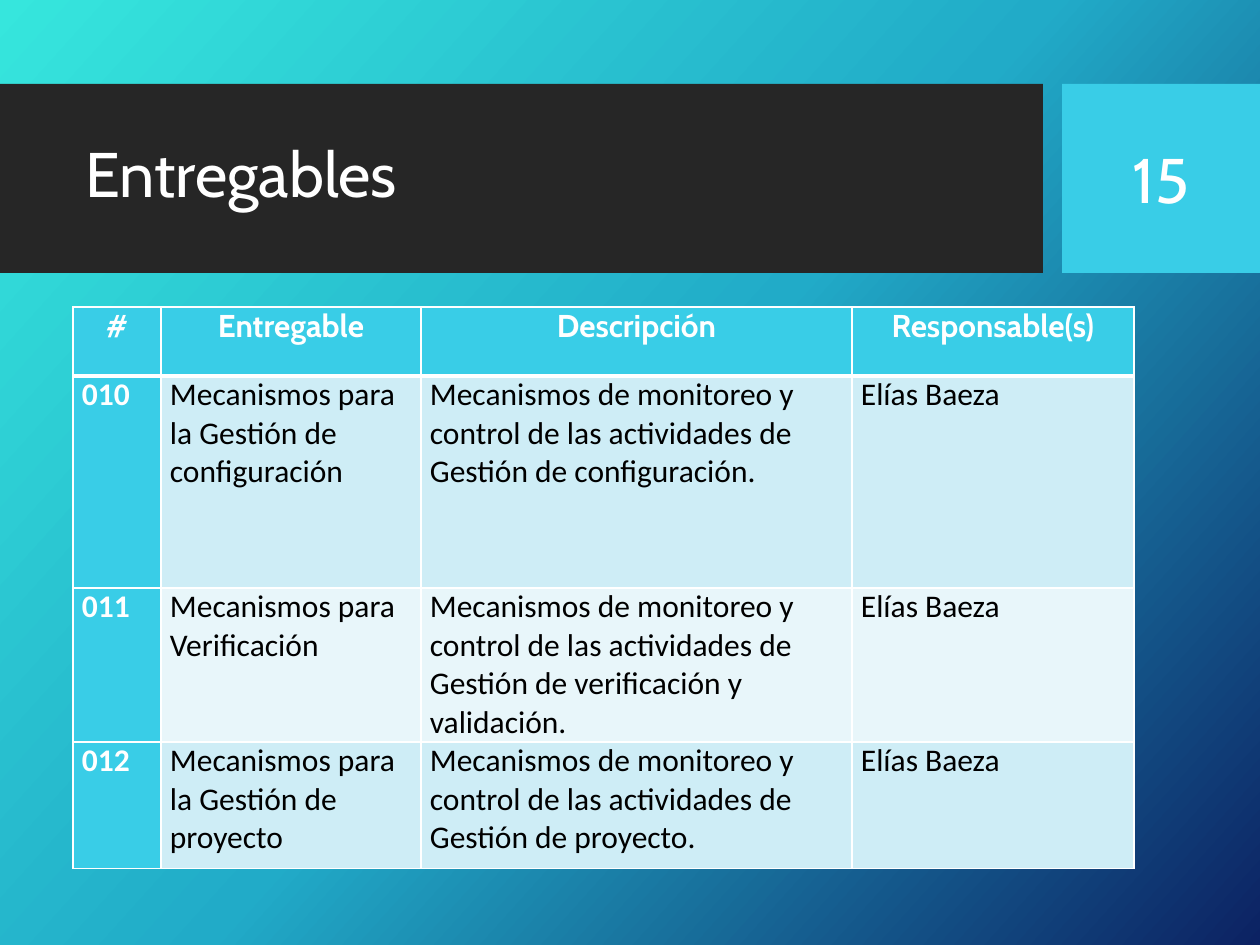
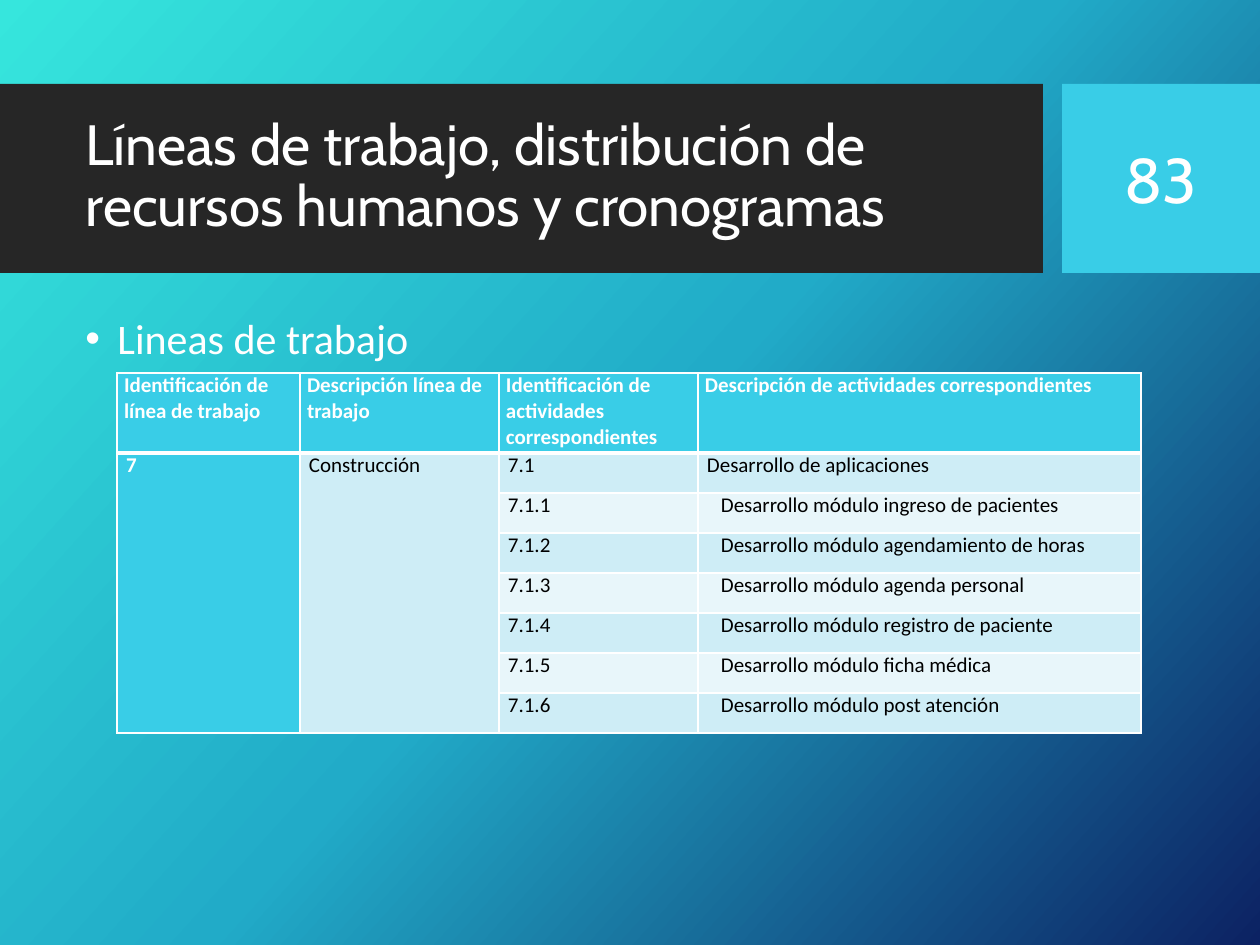
from copy import deepcopy
from dataclasses import dataclass

from lxml.etree import SubElement
from pptx import Presentation
from pptx.dml.color import RGBColor as RGB
from pptx.enum.shapes import MSO_SHAPE as Preset
from pptx.enum.text import MSO_ANCHOR as Anchor, MSO_AUTO_SIZE as AutoSize, PP_ALIGN as Align
from pptx.oxml.ns import qn
from pptx.slide import Slide, SlideLayout
from pptx.table import _Cell as Cell
from pptx.text.text import TextFrame
from pptx.util import Emu, Pt

PX_PER_INCH = 126
COLORS = {
    "band": "262626", "accent": "39CDE7", "light": "CEEDF6", "pale": "E8F6FA",
    "white": "FFFFFF", "black": "000000",
    "sky_start": "36E6DD", "sky_middle": "21ABC8", "sky_end": "0C2263",
}
HEADING_FONT, BODY_FONT = "Cabin", "Calibri"
TITLE_ONLY = 5


@dataclass(frozen=True)
class Box:
    left: int
    top: int
    width: int
    height: int

    def emu(self) -> tuple[Emu, ...]:
        return tuple(px(n) for n in (self.left, self.top, self.width, self.height))


@dataclass(frozen=True)
class TextStyle:
    size: float
    name: str = BODY_FONT
    color: str = "white"
    bold: bool = False
    align: Align = Align.LEFT


@dataclass(frozen=True)
class Grid:
    left: int
    top: int
    columns: list[int]
    rows: list[int]
    cells: list[list[str]]
    header: TextStyle
    size: int
    header_inset: int = 9
    merged_columns: tuple[int, ...] = ()
    indented_from: int = 0


@dataclass(frozen=True)
class Topic:
    title: str
    title_size: float
    number: str
    grid: Grid
    bullet: str = ""


BANDS = [(Box(0, 84, 1043, 189), "band"), (Box(1062, 84, 198, 189), "accent")]
TITLE_BOX = Box(73, 103, 950, 149)
NUMBER_BOX = Box(1081, 103, 160, 150)
BULLET_BOX = Box(73, 312, 977, 606)
CELL_INSET, INDENT, BULLET_INDENT = 9, 14, 32

DELIVERABLES = Grid(
    73, 307, [88, 260, 431, 282], [69, 212, 153, 127],
    [
        ["#", "Entregable", "Descripción", "Responsable(s)"],
        ["010", "Mecanismos para la Gestión de configuración",
         "Mecanismos de monitoreo y control de las actividades de Gestión de configuración.",
         "Elías Baeza"],
        ["011", "Mecanismos para Verificación",
         "Mecanismos de monitoreo y control de las actividades de Gestión de verificación y validación.",
         "Elías Baeza"],
        ["012", "Mecanismos para la Gestión de proyecto",
         "Mecanismos de monitoreo y control de las actividades de Gestión de proyecto.",
         "Elías Baeza"],
    ],
    TextStyle(18, HEADING_FONT, bold=True, align=Align.CENTER), 18,
)

MODULES = ["ingreso de pacientes", "agendamiento de horas", "agenda personal",
           "registro de paciente", "ficha médica", "post atención"]

WORK_LINES = Grid(
    117, 373, [183, 199, 199, 443], [80] + [40] * 7,
    [
        ["Identificación de línea de trabajo", "Descripción línea de trabajo",
         "Identificación de actividades correspondientes",
         "Descripción de actividades correspondientes"],
        ["7", "Construcción", "7.1", "Desarrollo de aplicaciones"],
        *(["", "", f"7.1.{n}", f"Desarrollo módulo {module}"]
          for n, module in enumerate(MODULES, 1)),
    ],
    TextStyle(12, bold=True), 12, header_inset=7, merged_columns=(0, 1), indented_from=2,
)

TOPICS = [
    Topic("Entregables", 36, "15", DELIVERABLES),
    Topic("Líneas de trabajo, distribución de recursos humanos y cronogramas", 32.4, "83",
          WORK_LINES, "Lineas de trabajo"),
]


def px(length: int) -> Emu:
    return Emu(round(length * 914400 / PX_PER_INCH))


def rgb(color: str) -> RGB:
    return RGB.from_string(COLORS[color])


def apply(target: object, values: dict) -> None:
    for attribute, value in values.items():
        setattr(target, attribute, value)


def write(frame: TextFrame, text: str, style: TextStyle) -> None:
    paragraph = frame.paragraphs[0]
    paragraph.alignment = style.align
    run = paragraph.add_run()
    run.text = text
    apply(run.font, {"size": Pt(style.size), "name": style.name, "bold": style.bold})
    run.font.color.rgb = rgb(style.color)


def paint_background(layout: SlideLayout) -> None:
    fill = layout.background.fill
    fill.gradient()
    fill.gradient_angle = 360 - 42
    stops = layout.element.find(".//" + qn("a:gsLst"))
    stops.append(deepcopy(stops[0]))
    for index, color in enumerate(("sky_start", "sky_middle", "sky_end")):
        stop = fill.gradient_stops[index]
        stop.position = index / 2
        stop.color.rgb = rgb(color)


def add_header(slide: Slide, topic: Topic) -> None:
    title = slide.shapes.title
    apply(title, dict(zip(("left", "top", "width", "height"), TITLE_BOX.emu())))
    for box, color in BANDS:
        band = slide.shapes.add_shape(Preset.RECTANGLE, *box.emu())
        band.shadow.inherit = False
        band.fill.solid()
        band.fill.fore_color.rgb = rgb(color)
        band.line.fill.background()
        title.element.addprevious(band.element)
    number = slide.shapes.add_textbox(*NUMBER_BOX.emu())
    centred = {"word_wrap": True, "auto_size": AutoSize.NONE, "vertical_anchor": Anchor.MIDDLE}
    for shape in (title, number):
        apply(shape.text_frame, centred)
    write(title.text_frame, topic.title, TextStyle(topic.title_size, HEADING_FONT))
    title.text_frame.paragraphs[0].line_spacing = 0.9
    write(number.text_frame, topic.number, TextStyle(36, HEADING_FONT, align=Align.CENTER))


def add_bullet(slide: Slide, text: str) -> None:
    frame = slide.shapes.add_textbox(*BULLET_BOX.emu()).text_frame
    frame.word_wrap = True
    write(frame, text, TextStyle(24))
    paragraph = frame.paragraphs[0]
    apply(paragraph, {"line_spacing": 0.9, "space_before": Pt(10)})
    properties = paragraph._p.get_or_add_pPr()
    properties.set("marL", str(px(BULLET_INDENT)))
    properties.set("indent", str(px(-BULLET_INDENT)))
    SubElement(properties, qn("a:buFont"), typeface="Arial")
    SubElement(properties, qn("a:buChar"), char="•")


def add_borders(cell: Cell, row: int) -> None:
    properties = cell._tc.get_or_add_tcPr()
    widths = {"L": 1, "R": 1, "T": 3 if row == 1 else 1, "B": 3 if row == 0 else 1}
    for side, width in widths.items():
        line = SubElement(properties, qn(f"a:ln{side}"), w=str(Pt(width)))
        SubElement(SubElement(line, qn("a:solidFill")), qn("a:srgbClr"), val=COLORS["white"])


def format_cell(cell: Cell, grid: Grid, row: int, column: int) -> None:
    heading = row == 0 or column == 0
    banded = "light" if row % 2 or column in grid.merged_columns else "pale"
    inset = grid.header_inset if row == 0 else CELL_INSET
    indent = INDENT if column == 3 and 0 < grid.indented_from <= row else 0
    apply(cell, {"margin_left": px(inset + indent), "margin_right": px(inset),
                 "margin_top": 0, "margin_bottom": 0})
    add_borders(cell, row)
    cell.fill.solid()
    cell.fill.fore_color.rgb = rgb("accent" if heading else banded)
    text = grid.cells[row][column]
    if text:
        body = TextStyle(grid.size, color="white" if heading else "black", bold=heading)
        write(cell.text_frame, text, grid.header if row == 0 else body)


def add_grid(slide: Slide, grid: Grid) -> None:
    box = Box(grid.left, grid.top, sum(grid.columns), sum(grid.rows))
    table = slide.shapes.add_table(len(grid.rows), len(grid.columns), *box.emu()).table
    table.first_col = True
    for column, width in zip(table.columns, grid.columns):
        column.width = px(width)
    for row, height in zip(table.rows, grid.rows):
        row.height = px(height)
    for row in range(len(grid.rows)):
        for column in range(len(grid.columns)):
            format_cell(table.cell(row, column), grid, row, column)
    for column in grid.merged_columns:
        table.cell(1, column).merge(table.cell(len(grid.rows) - 1, column))


def main() -> None:
    deck = Presentation()
    apply(deck, {"slide_width": px(1260), "slide_height": px(945)})
    layout = deck.slide_layouts[TITLE_ONLY]
    paint_background(layout)
    for topic in TOPICS:
        slide = deck.slides.add_slide(layout)
        add_header(slide, topic)
        if topic.bullet:
            add_bullet(slide, topic.bullet)
        add_grid(slide, topic.grid)
    deck.save("out.pptx")


if __name__ == "__main__":
    main()
